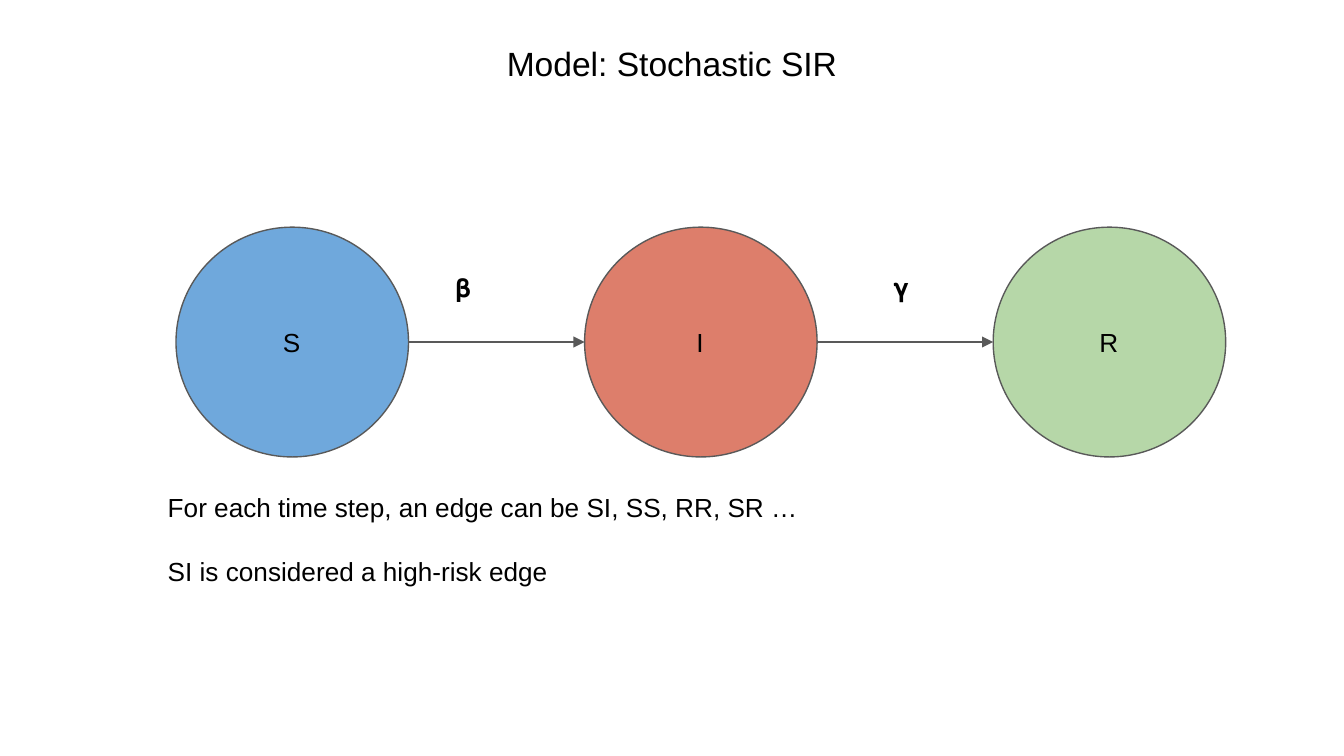
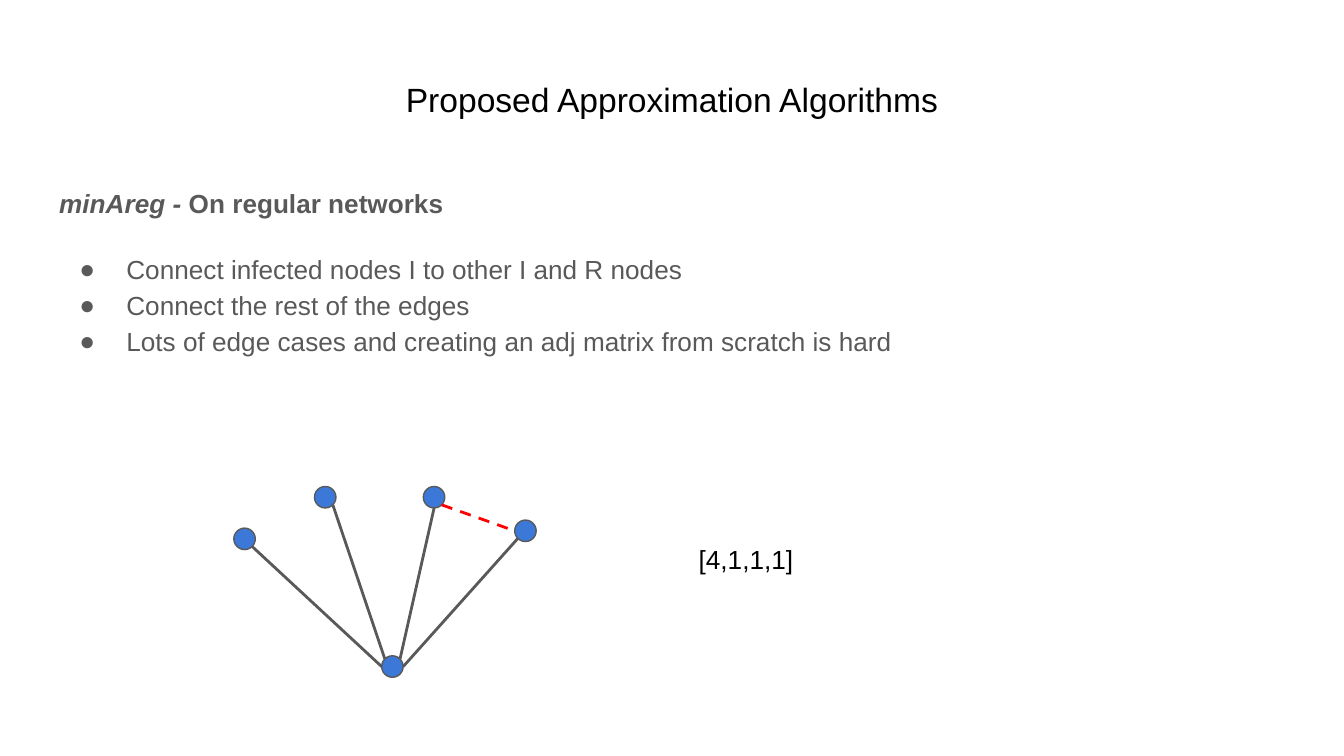
from math import cos, radians, sin

from lxml.etree import SubElement
from pptx import Presentation
from pptx.dml.color import RGBColor
from pptx.enum.dml import MSO_LINE
from pptx.enum.shapes import MSO_CONNECTOR, MSO_SHAPE
from pptx.enum.text import MSO_ANCHOR, MSO_AUTO_SIZE, PP_ALIGN
from pptx.oxml.ns import qn
from pptx.util import Inches, Pt

THEME = {
    "font": "Arial",
    "title": Pt(18),
    "body": Pt(14),
    "ink": RGBColor.from_string("000000"),
    "grey": RGBColor.from_string("595959"),
    "susceptible": RGBColor.from_string("6FA8DC"),
    "infected": RGBColor.from_string("DD7E6B"),
    "recovered": RGBColor.from_string("B6D7A8"),
    "node": RGBColor.from_string("3C78D8"),
    "risk": RGBColor.from_string("FF0000"),
    "thin": Pt(0.75),
    "thick": Pt(1.5),
}
FRAME = {
    "word_wrap": True,
    "auto_size": MSO_AUTO_SIZE.NONE,
    "vertical_anchor": MSO_ANCHOR.TOP,
    "margin_left": Inches(0.1),
    "margin_right": Inches(0.1),
    "margin_top": Inches(0.1),
    "margin_bottom": Inches(0.1),
}


def write(box, paragraphs, size="body", colour="ink", **layout):
    for name, value in FRAME.items():
        setattr(box.text_frame, name, value)
    for index, runs in enumerate(paragraphs):
        paragraph = box.text_frame.add_paragraph() if index else box.text_frame.paragraphs[0]
        for name, value in {"space_before": Pt(0), **layout}.items():
            setattr(paragraph, name, value)
        for text, style in runs:
            run = paragraph.add_run()
            run.text = text
            font = {"name": THEME["font"], "size": THEME[size], **style}
            for name, value in font.items():
                setattr(run.font, name, value)
            run.font.color.rgb = THEME[colour]
    return box.text_frame.paragraphs


def place(box, left, top, width, height):
    bounds = {"left": left, "top": top, "width": width, "height": height}
    for name, value in bounds.items():
        setattr(box, name, Inches(value))
    return box


deck = Presentation()
deck.slide_width = Inches(10)
deck.slide_height = deck.slide_width * 9 // 16
model = deck.slides.add_slide(deck.slide_layouts[5])
algorithms = deck.slides.add_slide(deck.slide_layouts[1])

for slide, heading, top in (
    (model, "Model: Stochastic SIR", 0.22),
    (algorithms, "Proposed Approximation Algorithms", 0.49),
):
    title = place(slide.shapes.title, 0.34, top, 9.32, 0.63)
    write(title, [[(heading, {})]], size="title", alignment=PP_ALIGN.CENTER)

rules = place(algorithms.placeholders[1], 0.34, 1.26, 6.84, 1.55)
rule_paragraphs = write(
    rules,
    [
        [("minAreg - ", {"bold": True, "italic": True}), ("On regular networks", {"bold": True})],
        [("Connect infected nodes I to other I and R nodes", {})],
        [("Connect the rest of the edges", {})],
        [("Lots of edge cases and creating an adj matrix from scratch is hard", {})],
    ],
    colour="grey",
    line_spacing=1.15,
    alignment=PP_ALIGN.LEFT,
)
rule_paragraphs[1].space_before = Pt(16)
for index, paragraph in enumerate(rule_paragraphs):
    properties = paragraph._p.get_or_add_pPr()
    properties.set("marL", str(Inches(0.5 if index else 0)))
    properties.set("indent", str(Inches(-0.35 if index else 0)))
    if index:
        bullet_colour = SubElement(properties, qn("a:buClr"))
        SubElement(bullet_colour, qn("a:srgbClr"), val=str(THEME["grey"]))
        SubElement(properties, qn("a:buChar"), char="●")
    else:
        SubElement(properties, qn("a:buNone"))

STATES = ("S", "susceptible"), ("I", "infected"), ("R", "recovered")
STATE_LEFT, STATE_STEP = 1.31, 3.04
NODES = {
    "hub": (2.84, 4.88),
    "far left": (1.74, 3.93),
    "left": (2.34, 3.62),
    "right": (3.15, 3.62),
    "far right": (3.83, 3.87),
}
circles = [
    (model, state, colour, (STATE_LEFT + STATE_STEP * index, 1.69, 1.73, 1.71))
    for index, (state, colour) in enumerate(STATES)
] + [(algorithms, node, "node", (*corner, 0.16, 0.16)) for node, corner in NODES.items()]

drawn = {}
for slide, key, colour, bounds in circles:
    circle = slide.shapes.add_shape(MSO_SHAPE.OVAL, *map(Inches, bounds))
    circle.shadow.inherit = False
    circle.fill.solid()
    circle.fill.fore_color.rgb = THEME[colour]
    circle.line.color.rgb = THEME["grey"]
    circle.line.width = THEME["thin"]
    drawn[key] = circle

labels = [
    (model, state, (STATE_LEFT + 0.46 + STATE_STEP * index, 2.33, 0.8, 0.87), PP_ALIGN.CENTER)
    for index, (state, _) in enumerate(STATES)
] + [
    (model, "𝛃", (3.29, 1.92, 0.76, 0.48), PP_ALIGN.LEFT),
    (model, "𝛄", (6.55, 1.92, 0.49, 0.48), PP_ALIGN.LEFT),
    (algorithms, "[4,1,1,1]", (5.1, 3.94, 5.6, 0.65), PP_ALIGN.LEFT),
]
for slide, text, bounds, alignment in labels:
    label = slide.shapes.add_textbox(*map(Inches, bounds))
    write(label, [[(text, {})]], alignment=alignment)

TOP_LEFT, LEFT, BOTTOM_LEFT, BOTTOM, BOTTOM_RIGHT, RIGHT, TOP_RIGHT = range(1, 8)
for slide, start, start_site, end, end_site, colour, width in (
    (model, "S", RIGHT, "I", LEFT, "grey", "thin"),
    (model, "I", RIGHT, "R", LEFT, "grey", "thin"),
    (algorithms, "far left", BOTTOM_RIGHT, "hub", LEFT, "grey", "thick"),
    (algorithms, "left", BOTTOM_RIGHT, "hub", TOP_LEFT, "grey", "thick"),
    (algorithms, "right", BOTTOM, "hub", TOP_RIGHT, "grey", "thick"),
    (algorithms, "far right", BOTTOM_LEFT, "hub", RIGHT, "grey", "thick"),
    (algorithms, "right", BOTTOM_RIGHT, "far right", LEFT, "risk", "thick"),
):
    ends = []
    for key, site in ((start, start_site), (end, end_site)):
        circle, angle = drawn[key], radians(90 + 45 * site)
        ends.append(int(circle.left + circle.width / 2 * (1 + cos(angle))))
        ends.append(int(circle.top + circle.height / 2 * (1 - sin(angle))))
    edge = slide.shapes.add_connector(MSO_CONNECTOR.STRAIGHT, *ends)
    edge.line.color.rgb = THEME[colour]
    edge.line.width = THEME[width]
    if colour == "risk":
        edge.line.dash_style = MSO_LINE.DASH
    if slide is model:
        SubElement(edge._element.spPr.find(qn("a:ln")), qn("a:tailEnd"), type="triangle")
    SubElement(edge._element.spPr, qn("a:effectLst"))
    glue = edge._element.nvCxnSpPr.cNvCxnSpPr
    for tag, key, site in (("a:stCxn", start, start_site), ("a:endCxn", end, end_site)):
        SubElement(glue, qn(tag), id=str(drawn[key].shape_id), idx=str(site))

edge_notes = model.shapes.add_textbox(*map(Inches, (1.15, 3.56, 6.93, 1.5)))
note_paragraphs = write(
    edge_notes,
    [
        [("For each time step, an edge can be SI, SS, RR, SR …", {})],
        [("SI is considered a high-risk edge", {})],
    ],
)
note_paragraphs[1].space_before = Pt(17)

deck.save("out.pptx")
